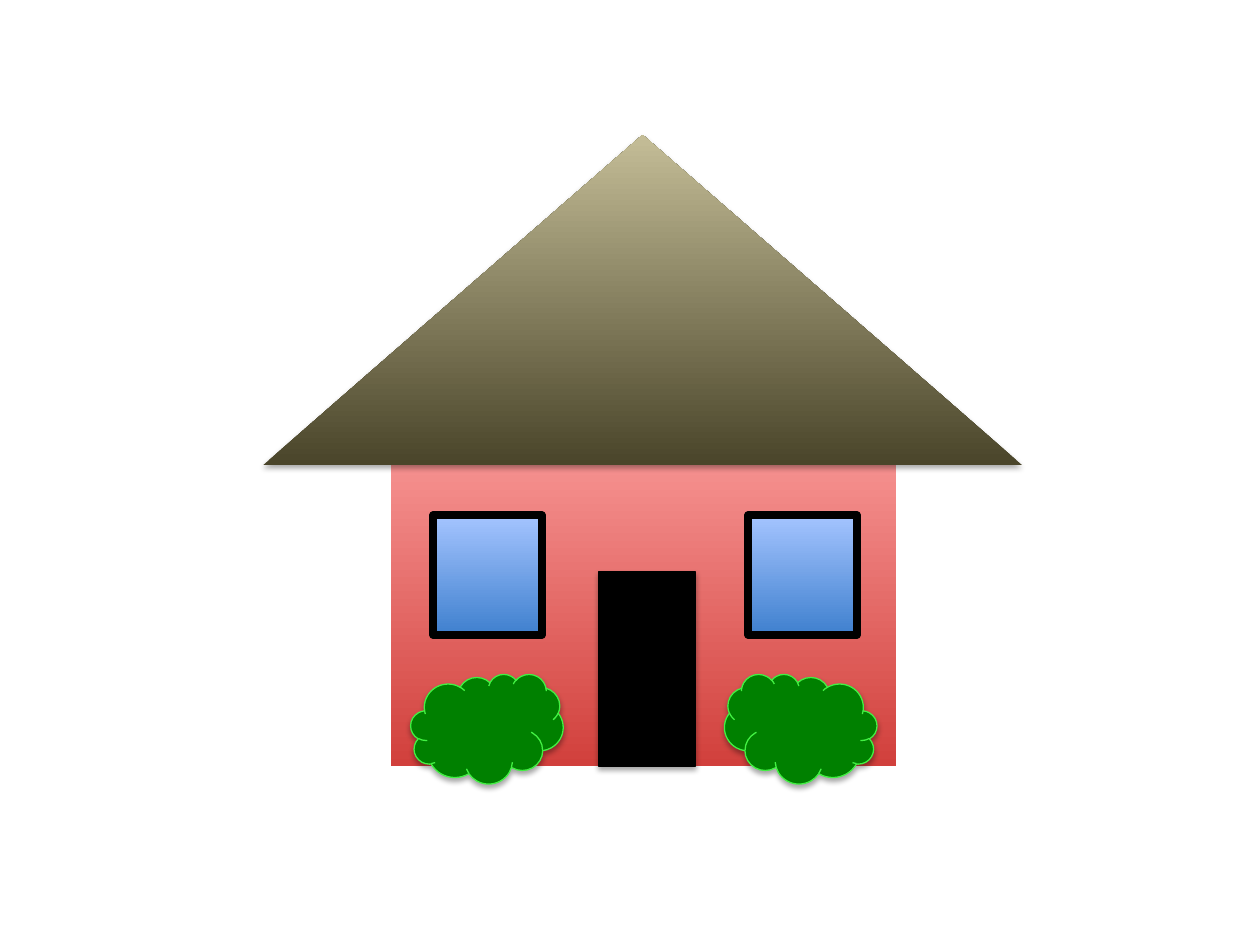
from lxml import etree
from pptx import Presentation
from pptx.dml.color import RGBColor
from pptx.enum.shapes import MSO_SHAPE
from pptx.oxml.ns import qn
from pptx.util import Inches, Pt

RECT = MSO_SHAPE.RECTANGLE
ROOF = MSO_SHAPE.ISOSCELES_TRIANGLE
CLOUD = MSO_SHAPE.CLOUD
BLANK = 6

HUES = {
    "wall low": "D1403C", "wall top": "FFA6A5",
    "roof low": "4A452A", "roof top": "C4BD97",
    "pane low": "3F80CE", "pane top": "A4C4FF",
    "black": "000000", "leaf": "008000", "edge": "42F043",
}
SHADE = {"blurRad": Pt(3.15), "dist": Pt(1.81), "dir": 90 * 60000,
         "algn": "ctr", "rotWithShape": 0}


def hue(name):
    """Return the named colour."""
    return RGBColor.from_string(HUES[name])


def paint(shape, fill):
    """Fill with one colour, or with a gradient rising from low to top."""
    if isinstance(fill, str):
        shape.fill.solid()
        shape.fill.fore_color.rgb = hue(fill)
        return
    shape.fill.gradient()
    shape.fill.gradient_angle = 90
    for stop, name, pos in zip(shape.fill.gradient_stops, fill, (0, 1)):
        stop.color.rgb = hue(name)
        stop.position = pos


def edge(shape, name=None, width=0.75):
    """Outline the shape, or leave it without a line."""
    if name is None:
        shape.line.fill.background()
        return
    shape.line.color.rgb = hue(name)
    shape.line.width = Pt(width)


def shade(shape):
    """Add a soft shadow that falls straight down."""
    group = shape.element.spPr.find(qn("a:effectLst"))
    drop = etree.SubElement(group, qn("a:outerShdw"))
    for key, value in SHADE.items():
        drop.set(key, str(value))
    tone = etree.SubElement(drop, qn("a:srgbClr"), val=HUES["black"])
    etree.SubElement(tone, qn("a:alpha"), val="35000")


def part(slide, kind, box, fill, line=(), dark=False, flip=False):
    """Draw one part of the house in a box given in inches."""
    shape = slide.shapes.add_shape(kind, *map(Inches, box))
    shape.shadow.inherit = False
    paint(shape, fill)
    edge(shape, *line)
    if dark:
        shade(shape)
    if flip:
        shape.element.spPr.find(qn("a:xfrm")).set("flipH", "1")


def main():
    """Build the house slide."""
    deck = Presentation()
    deck.slide_width, deck.slide_height = Inches(10), Inches(7.5)
    slide = deck.slides.add_slide(deck.slide_layouts[BLANK])

    part(slide, RECT, (3.1, 3.02, 4.01, 3.06), ("wall low", "wall top"))
    part(slide, ROOF, (2.09, 1.07, 6.02, 2.62), ("roof low", "roof top"),
         dark=True)
    for left in (3.44, 5.94):
        part(slide, RECT, (left, 4.09, 0.86, 0.95),
             ("pane low", "pane top"), ("black", 4.5))
    part(slide, RECT, (4.75, 4.54, 0.77, 1.54), "black", ("black",),
         dark=True)
    for left, flip in ((3.26, False), (5.75, True)):
        part(slide, CLOUD, (left, 5.35, 1.21, 0.87), "leaf", ("edge",),
             dark=True, flip=flip)

    deck.save("out.pptx")


main()
